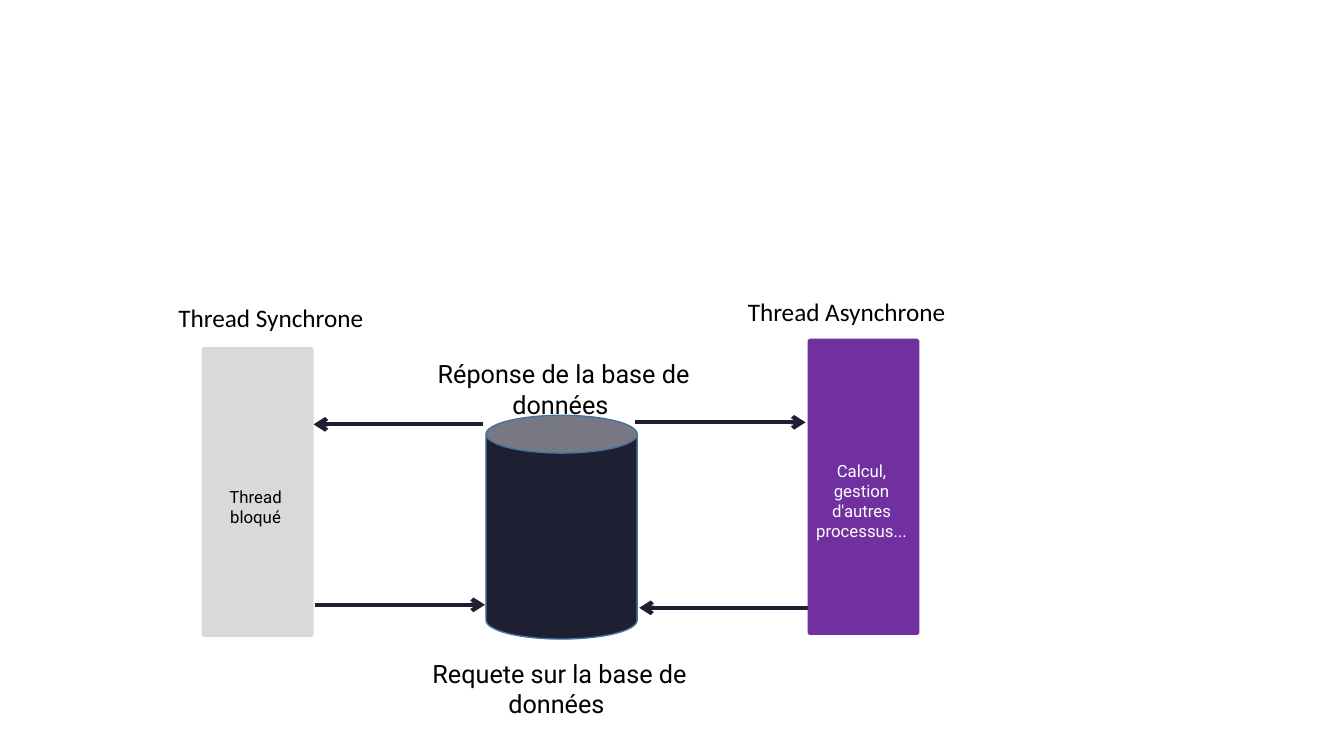
from dataclasses import dataclass

from lxml.etree import SubElement
from pptx import Presentation
from pptx.dml.color import RGBColor
from pptx.enum.shapes import MSO_CONNECTOR as Connector, MSO_SHAPE as Preset
from pptx.enum.text import MSO_AUTO_SIZE as AutoSize, PP_ALIGN as Align
from pptx.oxml.ns import qn
from pptx.slide import Slide
from pptx.util import Emu, Pt

EMU_PER_PX = 9144


@dataclass(frozen=True)
class Theme:
    ink: str = "1F1F33"
    edge: str = "43739E"
    blocked: str = "D9D9D9"
    busy: str = "7030A0"
    black: str = "000000"
    white: str = "FFFFFF"
    title_font: str = "Calibri"
    body_font: str = "Roboto"
    large: int = 18
    small: int = 12
    edge_width: int = 1
    arrow_width: int = 3
    corner: float = 0.026


THEME = Theme()


@dataclass(frozen=True)
class Box:
    left: int
    top: int
    width: int
    height: int

    def emu(self) -> list[Emu]:
        return [px(n) for n in (self.left, self.top, self.width, self.height)]


@dataclass(frozen=True)
class Label:
    text: str
    box: Box
    font: str = THEME.body_font
    size: int = THEME.large
    color: str = THEME.black


@dataclass(frozen=True)
class Arrow:
    start: int
    end: int
    y: int


@dataclass(frozen=True)
class Thread:
    box: Box
    color: str


THREADS = [
    Thread(Box(200, 344, 111, 288), THEME.blocked),
    Thread(Box(801, 336, 111, 294), THEME.busy),
]
DATABASE = Box(482, 412, 150, 222)
ARROWS = [
    Arrow(312, 481, 600),
    Arrow(479, 311, 421),
    Arrow(803, 634, 603),
    Arrow(630, 799, 419),
]
LABELS = [
    Label("Thread Synchrone ", Box(110, 295, 323, 42), THEME.title_font),
    Label("Thread Asynchrone ", Box(681, 289, 323, 42), THEME.title_font),
    Label("Requete sur la base de données ", Box(385, 648, 340, 70)),
    Label("Réponse de la base de données ", Box(389, 351, 340, 70)),
    Label("Calcul, gestion d'autres processus...", Box(799, 452, 111, 90),
          size=THEME.small, color=THEME.white),
    Label("Thread bloqué", Box(198, 478, 111, 50), size=THEME.small),
]


def px(length: int) -> Emu:
    return Emu(length * EMU_PER_PX)


def rgb(color: str) -> RGBColor:
    return RGBColor.from_string(color)


def draw_database(slide: Slide, box: Box) -> None:
    database = slide.shapes.add_shape(Preset.CAN, *box.emu())
    database.shadow.inherit = False
    database.fill.solid()
    database.fill.fore_color.rgb = rgb(THEME.ink)
    database.line.color.rgb = rgb(THEME.edge)
    database.line.width = Pt(THEME.edge_width)


def draw_thread(slide: Slide, thread: Thread) -> None:
    bar = slide.shapes.add_shape(Preset.ROUNDED_RECTANGLE, *thread.box.emu())
    bar.adjustments[0] = THEME.corner
    bar.shadow.inherit = False
    bar.fill.solid()
    bar.fill.fore_color.rgb = rgb(thread.color)
    bar.line.fill.background()


def draw_arrow(slide: Slide, arrow: Arrow) -> None:
    link = slide.shapes.add_connector(
        Connector.STRAIGHT, px(arrow.start), px(arrow.y), px(arrow.end), px(arrow.y))
    link.line.color.rgb = rgb(THEME.ink)
    link.line.width = Pt(THEME.arrow_width)
    SubElement(link.line._get_or_add_ln(), qn("a:tailEnd"), type="arrow")
    SubElement(link._element.spPr, qn("a:effectLst"))


def draw_label(slide: Slide, label: Label) -> None:
    frame = slide.shapes.add_textbox(*label.box.emu()).text_frame
    frame.word_wrap = True
    frame.auto_size = AutoSize.SHAPE_TO_FIT_TEXT
    paragraph = frame.paragraphs[0]
    paragraph.alignment = Align.CENTER
    run = paragraph.add_run()
    run.text = label.text
    run.font.name = label.font
    run.font.size = Pt(label.size)
    run.font.color.rgb = rgb(label.color)


def main() -> None:
    deck = Presentation()
    deck.slide_width, deck.slide_height = px(1333), px(750)
    slide = deck.slides.add_slide(deck.slide_layouts[6])
    draw_database(slide, DATABASE)
    for arrow in ARROWS:
        draw_arrow(slide, arrow)
    for thread in THREADS:
        draw_thread(slide, thread)
    for label in LABELS:
        draw_label(slide, label)
    deck.save("out.pptx")


if __name__ == "__main__":
    main()
